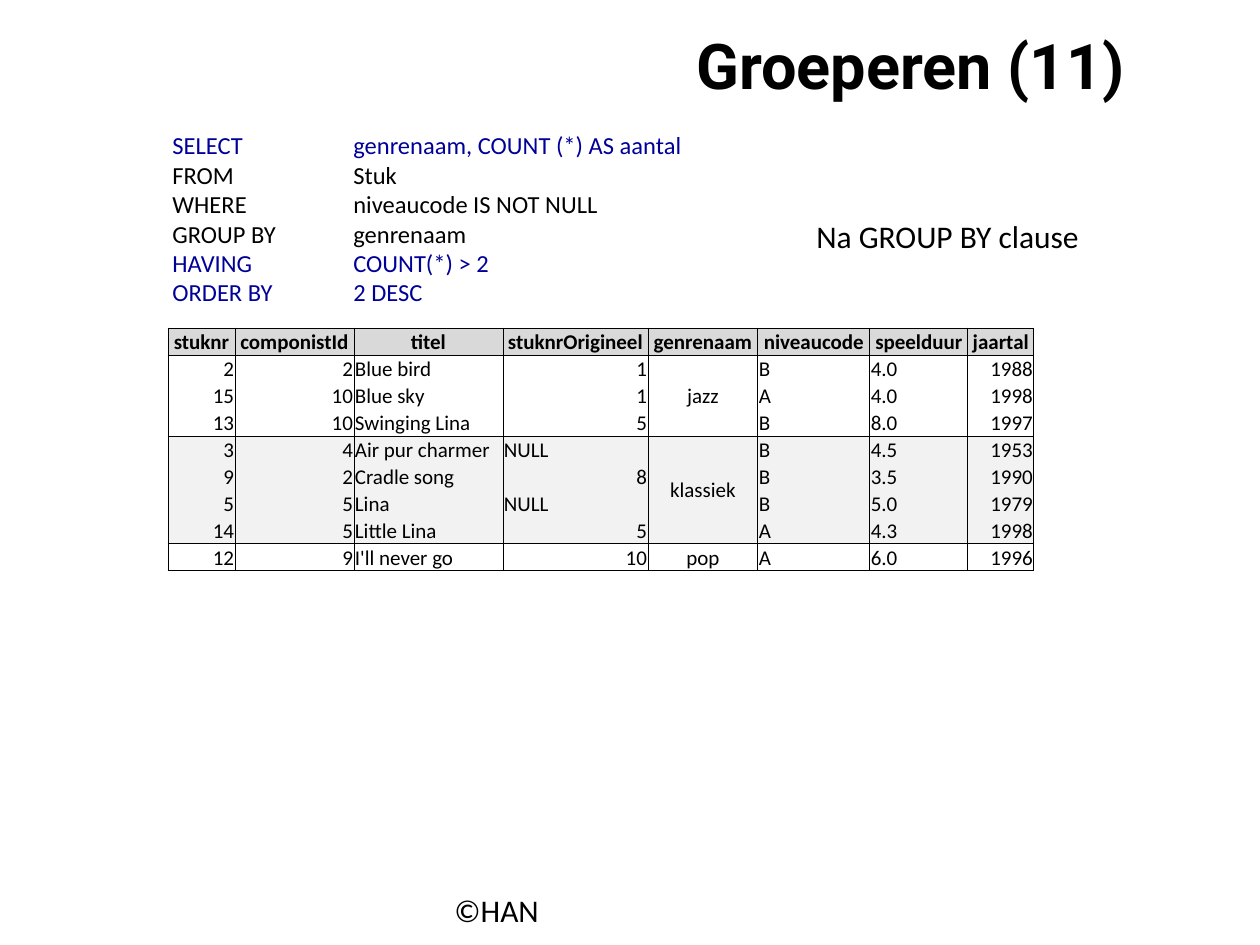
from lxml.etree import SubElement
from pptx import Presentation
from pptx.dml.color import RGBColor
from pptx.enum.text import MSO_ANCHOR as Anchor, MSO_AUTO_SIZE as AutoSize, PP_ALIGN as Align
from pptx.oxml.ns import qn
from pptx.util import Emu, Pt

BLACK = RGBColor(0x00, 0x00, 0x00)
NAVY = RGBColor(0x00, 0x00, 0x99)
HEADER_GREY = RGBColor(0xD9, 0xD9, 0xD9)
BAND_GREY = RGBColor(0xF2, 0xF2, 0xF2)

QUERY = [
    ("SELECT\tgenrenaam, COUNT (*) AS aantal", NAVY),
    ("FROM\tStuk", BLACK),
    ("WHERE\tniveaucode IS NOT NULL", BLACK),
    ("GROUP BY\tgenrenaam", BLACK),
    ("HAVING\tCOUNT(*) > 2", NAVY),
    ("ORDER BY\t2 DESC", NAVY),
]

HEADERS = ["stuknr", "componistId", "titel", "stuknrOrigineel",
           "genrenaam", "niveaucode", "speelduur", "jaartal"]
COLUMN_WIDTHS = [67, 119, 149, 145, 110, 112, 98, 66]
ROW_HEIGHT = 27
GENRE_COLUMN = HEADERS.index("genrenaam")
NUMBER_COLUMNS = [HEADERS.index(name)
                  for name in ("stuknr", "componistId", "stuknrOrigineel", "jaartal")]

# Each group: genre, fill, rows without the genre column
GROUPS = [
    ("jazz", None, [
        ("2", "2", "Blue bird", "1", "B", "4.0", "1988"),
        ("15", "10", "Blue sky", "1", "A", "4.0", "1998"),
        ("13", "10", "Swinging Lina", "5", "B", "8.0", "1997"),
    ]),
    ("klassiek", BAND_GREY, [
        ("3", "4", "Air pur charmer", "NULL", "B", "4.5", "1953"),
        ("9", "2", "Cradle song", "8", "B", "3.5", "1990"),
        ("5", "5", "Lina", "NULL", "B", "5.0", "1979"),
        ("14", "5", "Little Lina", "5", "A", "4.3", "1998"),
    ]),
    ("pop", None, [
        ("12", "9", "I'll never go", "10", "A", "6.0", "1996"),
    ]),
]


def px(length):
    return Emu(round(length * 914400 / 126))


def style_paragraph(paragraph, size, color=BLACK, name="Calibri", bold=False, align=Align.LEFT):
    paragraph.alignment = align
    font = paragraph.font
    font.name, font.size, font.bold = name, Pt(size), bold
    font.color.rgb = color


def add_text(slide, box, text, size, wrap=True, **style):
    frame = slide.shapes.add_textbox(*map(px, box)).text_frame
    frame.word_wrap = wrap
    frame.text = text
    style_paragraph(frame.paragraphs[0], size, **style)
    return frame


def add_tab_stop(paragraph, position):
    tabs = SubElement(paragraph._p.get_or_add_pPr(), qn("a:tabLst"))
    SubElement(tabs, qn("a:tab"), pos=str(px(position)), algn="l")


def add_query(slide, box):
    frame = slide.shapes.add_textbox(*map(px, box)).text_frame
    frame.word_wrap = True
    frame.auto_size = AutoSize.SHAPE_TO_FIT_TEXT
    frame.vertical_anchor = Anchor.BOTTOM
    for index, (line, color) in enumerate(QUERY):
        paragraph = frame.add_paragraph() if index else frame.paragraphs[0]
        paragraph.text = line
        add_tab_stop(paragraph, 181)
        style_paragraph(paragraph, 14, color)


def set_borders(cell, sides):
    """Draw thin black lines on the given sides (letters of LRTB), none on the others."""
    properties = cell._tc.get_or_add_tcPr()
    for side in "LRTB":
        line = SubElement(properties, qn(f"a:ln{side}"), w=str(Pt(0.5)))
        if side in sides:
            fill = SubElement(line, qn("a:solidFill"))
            SubElement(fill, qn("a:srgbClr"), val=str(BLACK))
        else:
            SubElement(line, qn("a:noFill"))


def fill_cell(cell, text, align, fill, sides="LRTB", bold=False, anchor=Anchor.BOTTOM):
    set_borders(cell, sides)
    if fill is None:
        cell.fill.background()
    else:
        cell.fill.solid()
        cell.fill.fore_color.rgb = fill
    cell.margin_left = cell.margin_right = cell.margin_top = px(1)
    cell.margin_bottom = 0
    cell.vertical_anchor = anchor
    cell.text = text
    style_paragraph(cell.text_frame.paragraphs[0], 12, bold=bold, align=align)


def add_group(table, top, genre, fill, rows):
    last = len(rows) - 1
    for index, row in enumerate(rows):
        sides = "LR" + "T" * (index == 0) + "B" * (index == last)
        values = list(row)
        values.insert(GENRE_COLUMN, "" if index else genre)
        for column, value in enumerate(values):
            if column == GENRE_COLUMN:
                align, anchor = Align.CENTER, Anchor.MIDDLE
            else:
                is_number = column in NUMBER_COLUMNS and value != "NULL"
                align, anchor = Align.RIGHT if is_number else Align.LEFT, Anchor.BOTTOM
            fill_cell(table.cell(top + index, column), value, align, fill, sides, anchor=anchor)
    if last:
        table.cell(top, GENRE_COLUMN).merge(table.cell(top + last, GENRE_COLUMN))


def add_result_table(slide, left, top):
    row_count = 1 + sum(len(rows) for _, _, rows in GROUPS)
    table = slide.shapes.add_table(
        row_count, len(HEADERS), px(left), px(top),
        px(sum(COLUMN_WIDTHS)), px(row_count * ROW_HEIGHT)).table
    table.first_row = table.horz_banding = False
    for column, width in zip(table.columns, COLUMN_WIDTHS):
        column.width = px(width)
    for row in table.rows:
        row.height = px(ROW_HEIGHT)
    for column, header in enumerate(HEADERS):
        fill_cell(table.cell(0, column), header, Align.CENTER, HEADER_GREY, bold=True)
    group_top = 1
    for genre, fill, rows in GROUPS:
        add_group(table, group_top, genre, fill, rows)
        group_top += len(rows)


def main():
    presentation = Presentation()
    presentation.slide_width, presentation.slide_height = px(1260), px(945)
    slide = presentation.slides.add_slide(presentation.slide_layouts[6])
    add_text(slide, (553, 20, 584, 87), "Groeperen (11)", 36,
             name="Roboto", bold=True, align=Align.RIGHT)
    add_query(slide, (160, 139, 932, 174))
    add_text(slide, (442, 885, 400, 34), "©HAN", 18)
    label = add_text(slide, (804, 211, 352, 48), "Na GROUP BY clause", 18, wrap=False)
    label.auto_size = AutoSize.SHAPE_TO_FIT_TEXT
    add_result_table(slide, 168, 328)
    presentation.save("out.pptx")


if __name__ == "__main__":
    main()
